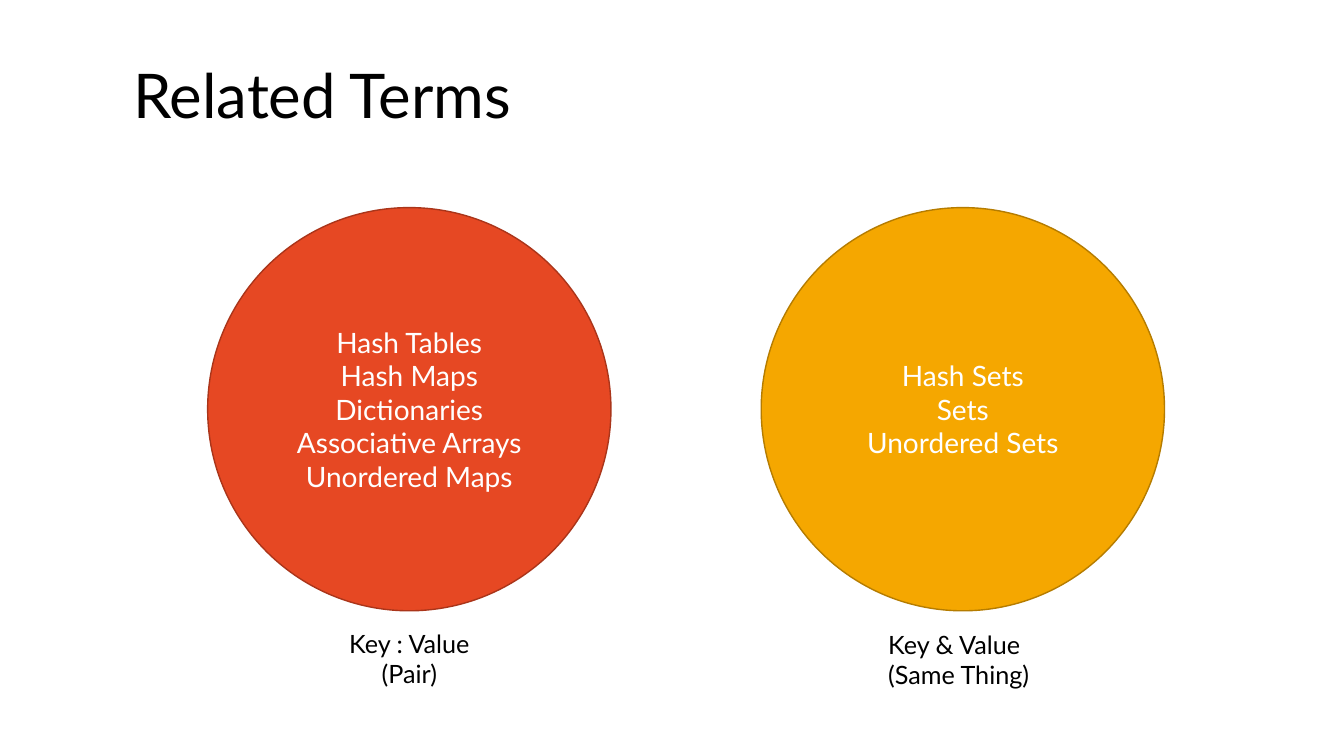
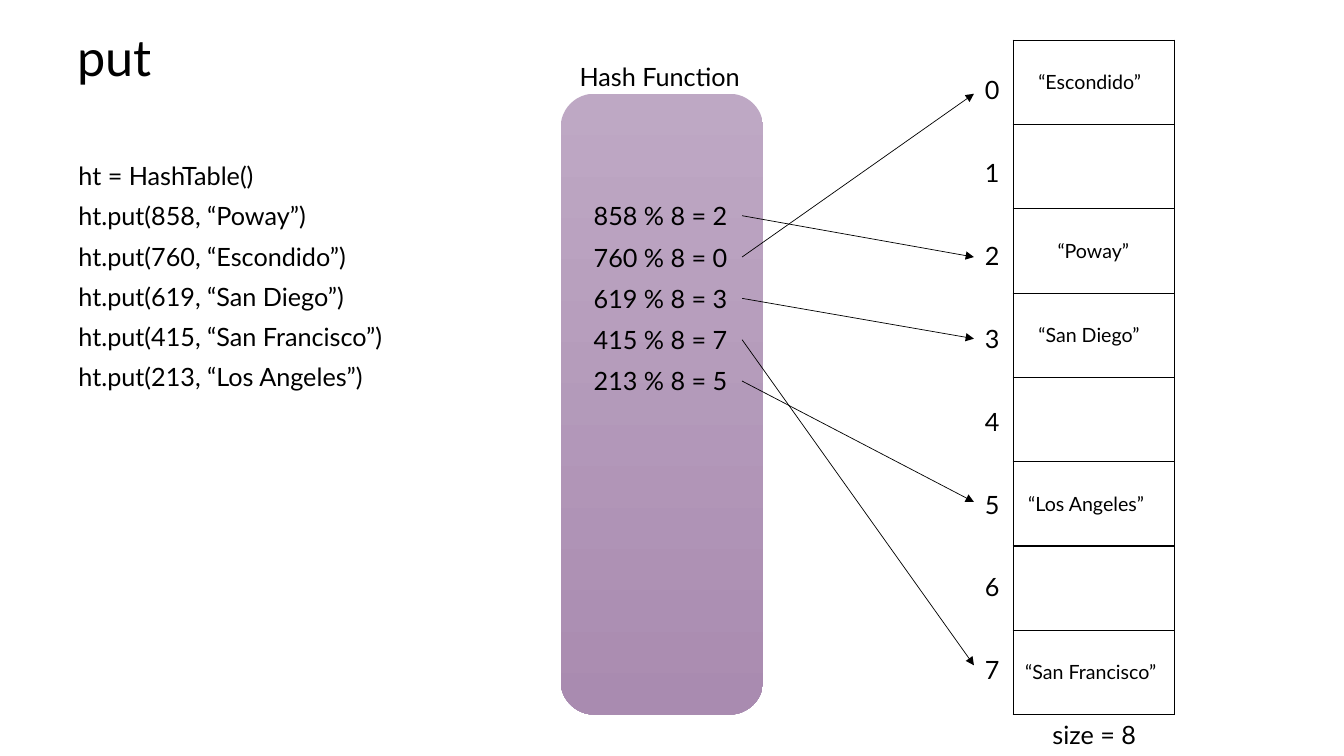
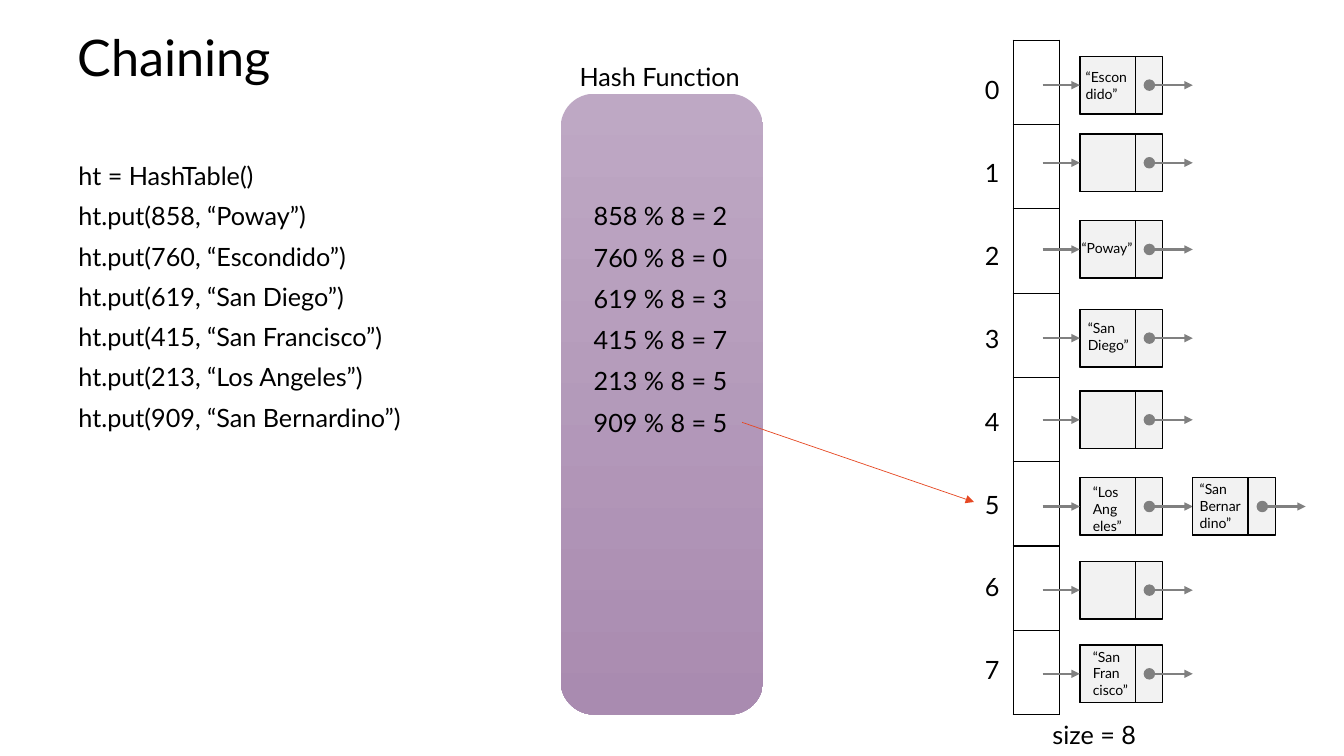
"""Build three slides on hash tables: related terms, put, and chaining."""
import pptx
import pptx.dml.color
import pptx.enum.shapes
import pptx.enum.text
import pptx.oxml
import pptx.oxml.ns
import pptx.util

Inches = pptx.util.Inches
Pt = pptx.util.Pt
SHAPES = pptx.enum.shapes.MSO_SHAPE
ALIGN = pptx.enum.text.PP_ALIGN
ANCHOR = pptx.enum.text.MSO_ANCHOR

FONT = "Lato"
BLACK, WHITE, GREY, PALE = "000000", "FFFFFF", "808080", "F2F2F2"
RED, GOLD = "E64823", "F5A700"
PURPLES = ("BEA8C4", "A98BB0")

TERM_CIRCLES = [
    (7.55, GOLD, "B57C00", ["Hash Sets", "Sets", "Unordered Sets"]),
    (2.06, RED, "AA351A", ["Hash Tables", "Hash Maps", "Dictionaries",
                           "Associative Arrays", "Unordered Maps"]),
]
TERM_CAPTIONS = [
    (3.3, 6.18, 1.52, ["Key : Value", "(Pair)"], ALIGN.CENTER),
    (8.71, 6.19, 1.71, ["Key & Value", "(Same Thing)"], ALIGN.LEFT),
]

BUCKETS = 8
PUTS = [
    (858, "Poway", 2.52),
    (760, "Escondido", 3.02),
    (619, "San Diego", 2.99),
    (415, "San Francisco", 3.36),
    (213, "Los Angeles", 3.19),
]
COLLIDING_PUT = (909, "San Bernardino", 3.57)
CITY_BOXES = {
    "Poway": (10.39, 0.92),
    "Escondido": (10.2, 1.3),
    "San Diego": (10.2, 1.31),
    "San Francisco": (10.07, 1.57),
    "Los Angeles": (10.1, 1.5),
}

NODE_LEFT = 10.71
NEXT_NODE_LEFT = 11.83
NODE_TOPS = [0.56, 1.33, 2.19, 3.07, 3.88, 4.74, 5.57, 6.4]
NODE_LABELS = [
    (10.67, 0.63, 0.64, ["“Escon", "dido”"]),
    (10.63, 2.33, 0.73, ["“Poway”"]),
    (10.69, 3.12, 1.31, ["“San", "Diego”"]),
    (10.74, 4.75, 0.88, ["“Los", "Ang", "eles”"]),
    (11.8, 4.72, 0.88, ["“San", "Bernar", "dino”"]),
    (10.74, 6.38, 0.58, ["“San", "Fran", "cisco”"]),
]

TABLE_LEFT, TABLE_TOP, TABLE_HEIGHT = 10.05, 0.4, 6.69
ROW_HEIGHT = TABLE_HEIGHT / BUCKETS
CODE_TOP, CODE_PITCH = 1.54, 0.4
HASH_TOP, HASH_PITCH = 1.94, 0.41
INDEX_TOP, INDEX_GAP = 0.69, 37.6
ARROW_TOP, ARROW_PITCH = 0.93, 0.81


def rgb(value):
    return pptx.dml.color.RGBColor.from_string(value)


def write(frame, lines, size, color=BLACK, align=ALIGN.LEFT, gap=0):
    frame.text = "\n".join(lines)
    for paragraph in frame.paragraphs:
        paragraph.alignment = align
        paragraph.space_before = Pt(gap)
        paragraph.font.name = FONT
        paragraph.font.size = Pt(size)
        paragraph.font.color.rgb = rgb(color)


def add_text(slide, left, top, width, height, lines, size=18, wrap=False, **style):
    box = slide.shapes.add_textbox(Inches(left), Inches(top), Inches(width), Inches(height))
    box.text_frame.word_wrap = wrap
    write(box.text_frame, lines, size, **style)


def add_shape(slide, kind, left, top, width, height, fill=None, line=None):
    shape = slide.shapes.add_shape(
        kind, Inches(left), Inches(top), Inches(width), Inches(height))
    shape.shadow.inherit = False
    if fill:
        shape.fill.solid()
        shape.fill.fore_color.rgb = rgb(fill)
    if line:
        shape.line.color.rgb = rgb(line)
        shape.line.width = Pt(1)
    else:
        shape.line.fill.background()
    return shape


def add_arrow(slide, start, end, color, width):
    arrow = slide.shapes.add_connector(
        pptx.enum.shapes.MSO_CONNECTOR.STRAIGHT, *map(Inches, (*start, *end)))
    arrow.line.color.rgb = rgb(color)
    arrow.line.width = Pt(width)
    properties = arrow.element.spPr
    tail = pptx.oxml.parse_xml(
        f'<a:tailEnd {pptx.oxml.ns.nsdecls("a")} type="triangle"/>')
    properties.find(pptx.oxml.ns.qn("a:ln")).append(tail)
    properties.append(pptx.oxml.parse_xml(f'<a:effectLst {pptx.oxml.ns.nsdecls("a")}/>'))


def add_slide(presentation, title, left, top, width, height, size):
    slide = presentation.slides.add_slide(presentation.slide_layouts[5])
    shape = slide.shapes.title
    shape.left, shape.top = Inches(left), Inches(top)
    shape.width, shape.height = Inches(width), Inches(height)
    frame = shape.text_frame
    write(frame, [title], size)
    frame.auto_size = pptx.enum.text.MSO_AUTO_SIZE.NONE
    frame.vertical_anchor = ANCHOR.TOP
    frame.paragraphs[0].line_spacing = 0.9
    return slide


def add_bucket_table(slide, width):
    table = slide.shapes.add_table(
        BUCKETS, 1, Inches(TABLE_LEFT), Inches(TABLE_TOP),
        Inches(width), Inches(TABLE_HEIGHT)).table
    table.first_row = table.horz_banding = False
    for cell in table.iter_cells():
        properties = cell._tc.get_or_add_tcPr()
        for side in ("lnL", "lnR", "lnT", "lnB"):
            properties.append(pptx.oxml.parse_xml(
                f'<a:{side} {pptx.oxml.ns.nsdecls("a")} w="{Pt(1)}">'
                f'<a:solidFill><a:srgbClr val="{BLACK}"/></a:solidFill></a:{side}>'))
        cell.fill.background()


def add_hash_slide(presentation, title, puts, table_width):
    slide = add_slide(presentation, title, 0.67, 0.28, 5.11, 0.72, 36)
    add_bucket_table(slide, table_width)
    add_text(slide, 10.34, 7.09, 1.1, 0.4, [f"size = {BUCKETS}"])
    add_text(slide, 9.67, INDEX_TOP, 0.35, 6.22, map(str, range(BUCKETS)), gap=INDEX_GAP)
    panel = add_shape(slide, SHAPES.ROUNDED_RECTANGLE, 5.56, 0.93, 2.01, 6.16)
    panel.fill.gradient()
    panel.fill.gradient_angle = 270
    for stop, color, position in zip(panel.fill.gradient_stops, PURPLES, (0, 1)):
        stop.color.rgb = rgb(color)
        stop.position = position
    add_text(slide, 5.65, 0.56, 1.84, 0.4, ["Hash Function"])
    add_text(slide, 0.68, CODE_TOP, 2.07, 0.4, ["ht = HashTable()"])
    for index, (key, city, width) in enumerate(puts):
        add_text(slide, 0.68, CODE_TOP + CODE_PITCH * (index + 1), width, 0.4,
                 [f"ht.put({key}, “{city}”)"])
        add_text(slide, 5.79, HASH_TOP + HASH_PITCH * index, 1.57, 0.4,
                 [f"{key} % {BUCKETS} = {key % BUCKETS}"])
    return slide


def add_hash_arrow(slide, index, key, color):
    add_arrow(slide, (7.36, HASH_TOP + HASH_PITCH * index + 0.2),
              (9.66, ARROW_TOP + ARROW_PITCH * (key % BUCKETS)), color, 0.5)


def add_node(slide, left, top):
    middle = top + 0.285
    for width in (0.82, 0.55):
        add_shape(slide, SHAPES.RECTANGLE, left, top, width, 0.57, PALE, BLACK)
    add_arrow(slide, (left + 0.64, middle), (left + 1.12, middle), GREY, 1.75)
    add_shape(slide, SHAPES.OVAL, left + 0.64, middle - 0.05, 0.1, 0.1, GREY, GREY)


def build_terms(presentation):
    slide = add_slide(presentation, "Related Terms", 1.22, 0.6, 11.12, 1.29, 44)
    for left, fill, line, terms in TERM_CIRCLES:
        circle = add_shape(slide, SHAPES.OVAL, left, 2.06, 4, 4, fill, line)
        circle.text_frame.vertical_anchor = ANCHOR.MIDDLE
        write(circle.text_frame, terms, 20, WHITE, ALIGN.CENTER)
    for left, top, width, lines, align in TERM_CAPTIONS:
        add_text(slide, left, top, width, 0.71, lines, align=align)


def build_put(presentation):
    slide = add_hash_slide(presentation, "put", PUTS, 1.6)
    for index, (key, city, _) in enumerate(PUTS):
        add_hash_arrow(slide, index, key, BLACK)
        left, width = CITY_BOXES[city]
        row_middle = TABLE_TOP + ROW_HEIGHT * (key % BUCKETS + 0.5)
        add_text(slide, left, row_middle - 0.17, width, 0.34, [f"“{city}”"], 14)


def build_chaining(presentation):
    slide = add_hash_slide(presentation, "Chaining", PUTS + [COLLIDING_PUT], 0.46)
    key = COLLIDING_PUT[0]
    add_hash_arrow(slide, len(PUTS), key, RED)
    for top in NODE_TOPS:
        add_node(slide, NODE_LEFT, top)
        add_arrow(slide, (NODE_LEFT - 0.37, top + 0.285),
                  (NODE_LEFT, top + 0.285), GREY, 1.75)
    add_node(slide, NEXT_NODE_LEFT, NODE_TOPS[key % BUCKETS])
    for left, top, width, lines in NODE_LABELS:
        add_text(slide, left, top, width, 0.1 + 0.17 * len(lines), lines, 10,
                 wrap=width > 0.8)


def main():
    presentation = pptx.Presentation()
    presentation.slide_width, presentation.slide_height = Inches(13.33), Inches(7.5)
    build_terms(presentation)
    build_put(presentation)
    build_chaining(presentation)
    presentation.save("out.pptx")


if __name__ == "__main__":
    main()
